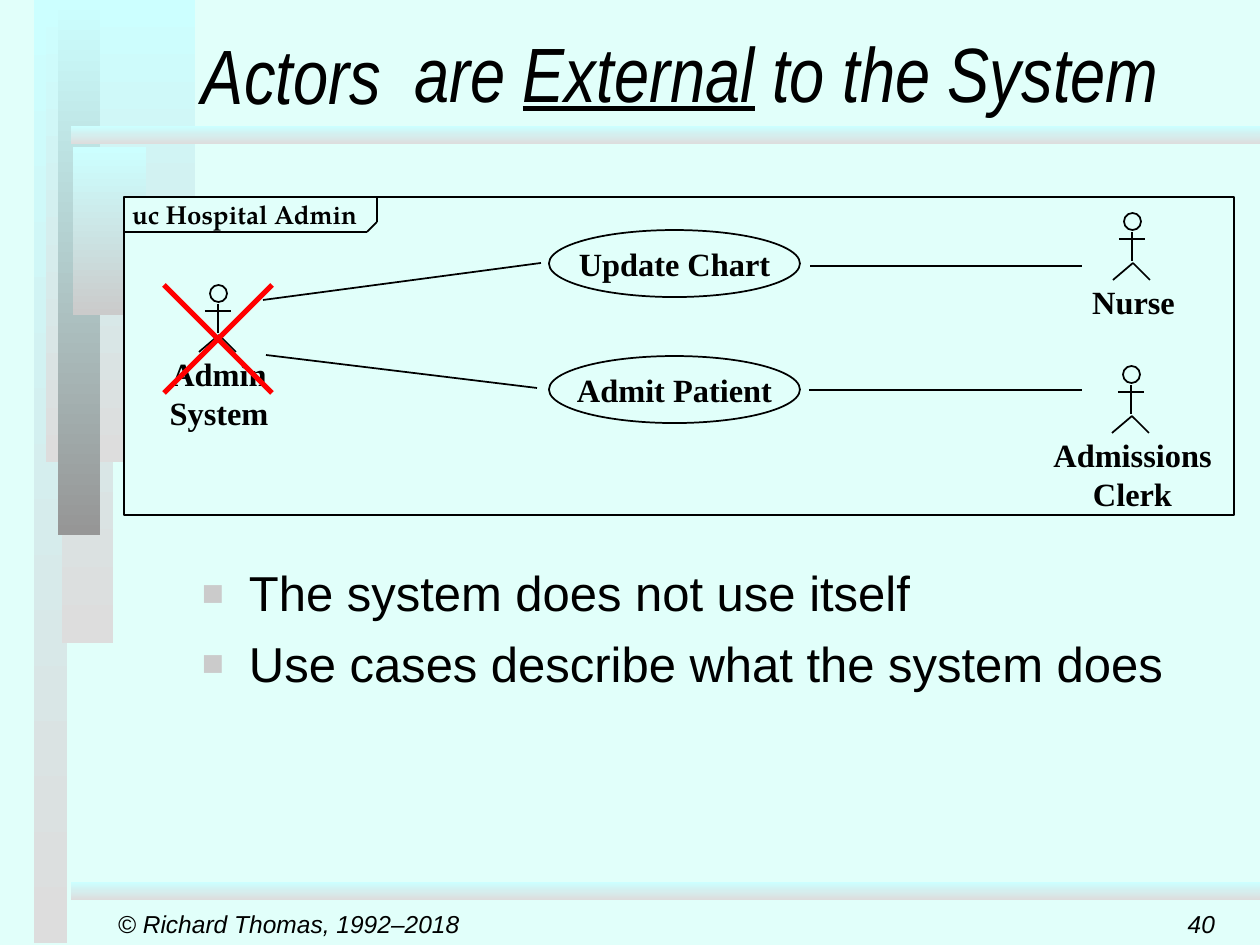
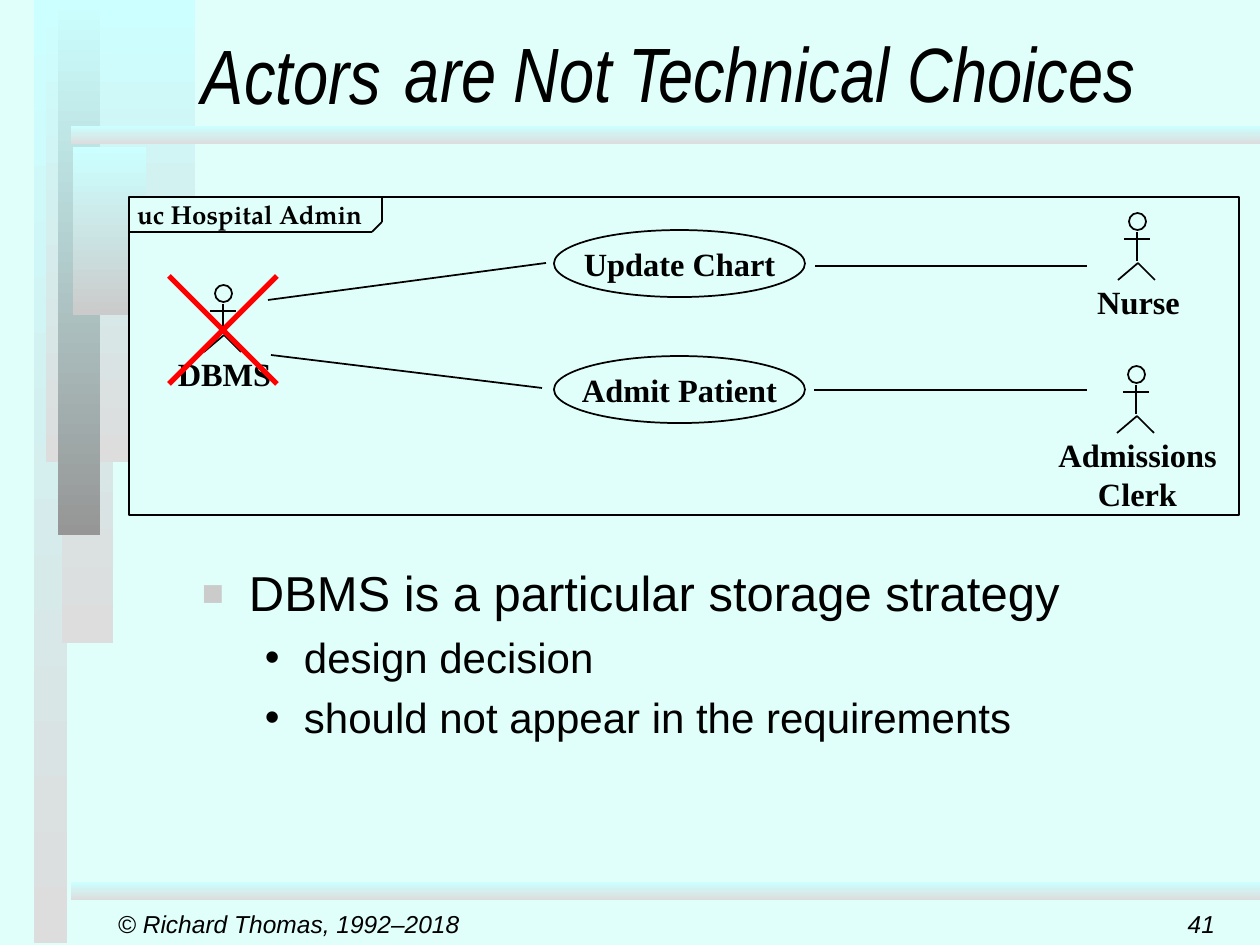
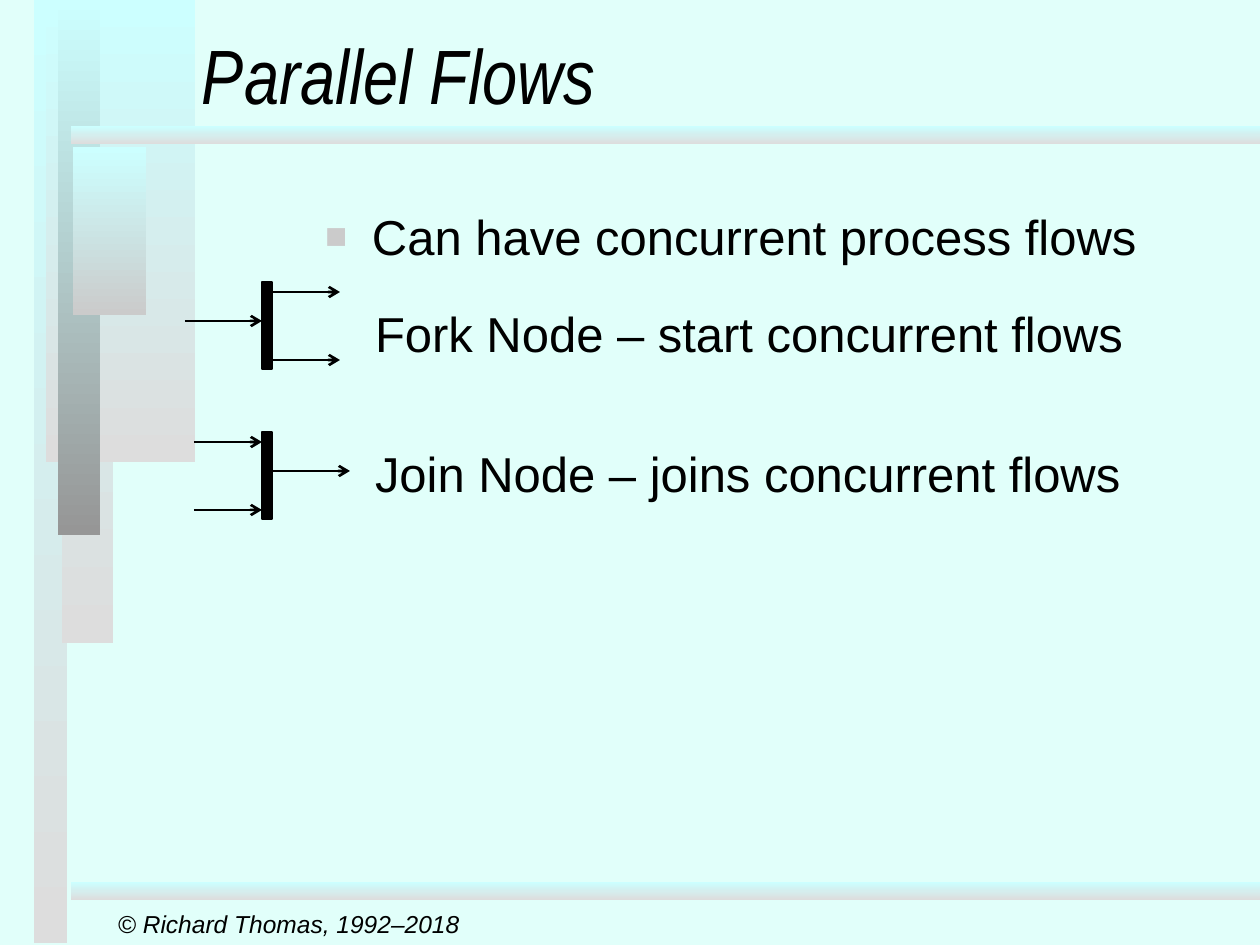
from itertools import pairwise

from lxml import etree
from pptx import Presentation
from pptx.dml.color import RGBColor
from pptx.enum.shapes import MSO_CONNECTOR, MSO_SHAPE
from pptx.enum.text import MSO_ANCHOR, MSO_AUTO_SIZE, PP_ALIGN
from pptx.oxml.ns import qn
from pptx.util import Pt

RECTANGLE, OVAL = MSO_SHAPE.RECTANGLE, MSO_SHAPE.OVAL
STRAIGHT = MSO_CONNECTOR.STRAIGHT
LEFT, CENTER, RIGHT = PP_ALIGN.LEFT, PP_ALIGN.CENTER, PP_ALIGN.RIGHT
MIDDLE, BOTTOM, TOP = MSO_ANCHOR.MIDDLE, MSO_ANCHOR.BOTTOM, MSO_ANCHOR.TOP
NO_AUTOFIT = MSO_AUTO_SIZE.NONE

EMU_PER_PX = 914400 / 126
COLORS = {
    "background": "E1FFFA",
    "ink": "000000",
    "cross": "FF0000",
    "bullet": "CBCBCB",
    "aqua": "CCFFFF",
    "pale": "DDDDDD",
    "silver": "CBCBCB",
    "steel": "969696",
}
# Each font: name, size, bold, italic
FONTS = {
    "title": ("Arial Narrow", 44, False, True),
    "item": ("Arial", 28, False, False),
    "subitem": ("Arial", 24, False, False),
    "footer": ("Arial", 14, False, True),
    "diagram": ("Times New Roman", 18.5, True, False),
    "frame": ("TeX Gyre Pagella", 14.8, True, False),
}
# Each list style: font, level, left margin, first-line indent, bullet, bullet colour, bullet percent
LIST_STYLES = {
    "item": ("item", 0, 47, -47, "■", "bullet", 75),
    "subitem": ("subitem", 1, 102, -39, "•", "ink", 100),
    "plain": ("item", 0, 50, 0, None, None, None),
}
# Each band: left, top, width, height, lower colour
BANDS = [
    (34, 0, 33, 943, "pale"),
    (62, 0, 51, 643, "pale"),
    (46, 0, 149, 462, "pale"),
    (58, 0, 42, 535, "steel"),
    (73, 147, 73, 168, "silver"),
    (71, 126, 1189, 18, "pale"),
    (71, 882, 1189, 18, "pale"),
]
INSETS = (13, 6)
DIAGRAM_INSETS = (11, 5)


def px(length):
    return round(length * EMU_PER_PX)


def rgb(name):
    return RGBColor.from_string(COLORS[name])


class Deck:
    def __init__(self):
        self.presentation = Presentation()
        self.presentation.slide_width = px(1260)
        self.presentation.slide_height = px(945)
        background = self.presentation.slide_master.background.fill
        background.solid()
        background.fore_color.rgb = rgb("background")
        self.layout = self.presentation.slide_layouts[1]
        self.slide = None

    def start_slide(self, title, page=None):
        first = self.slide is None
        self.slide = self.presentation.slides.add_slide(self.layout)
        if first:
            self.share_bands()
        shape = self.slide.shapes.title
        self.place(shape, 189, 0, 1071, 126)
        self.set_text(shape, [title], "title", LEFT, BOTTOM, wrap=True)
        self.text(105, 903, 262, 42, ["© Richard Thomas, 1992–2018"], "footer", anchor=MIDDLE)
        if page:
            self.text(966, 903, 262, 42, [str(page)], "footer", RIGHT, MIDDLE)

    def share_bands(self):
        """Draw the gradient bands and move them to the layout used by every slide."""
        for left, top, width, height, lower in BANDS:
            band = self.shape(RECTANGLE, left, top, width, height, line=None)
            band.fill.gradient()
            band.fill.gradient_angle = 270
            for stop, color in zip(band.fill.gradient_stops, ("aqua", lower)):
                stop.color.rgb = rgb(color)
            self.layout.shapes.element.append(band.element)

    def place(self, shape, left, top, width, height):
        shape.left, shape.top, shape.width, shape.height = map(px, (left, top, width, height))

    def set_font(self, paragraph, style):
        font = paragraph.font
        name, size, font.bold, font.italic = FONTS[style]
        font.name, font.size = name, Pt(size)
        font.color.rgb = rgb("ink")

    def frame_text(self, shape, anchor, wrap, insets):
        frame = shape.text_frame
        frame.auto_size, frame.word_wrap, frame.vertical_anchor = NO_AUTOFIT, wrap, anchor
        frame.margin_left = frame.margin_right = px(insets[0])
        frame.margin_top = frame.margin_bottom = px(insets[1])
        return frame

    def set_text(self, shape, lines, style, align=LEFT, anchor=TOP, wrap=False, insets=INSETS):
        frame = self.frame_text(shape, anchor, wrap, insets)
        frame.text = "\n".join(lines)
        for paragraph in frame.paragraphs:
            paragraph.alignment = align
            self.set_font(paragraph, style)

    def text(self, left, top, width, height, lines, style, align=LEFT, anchor=TOP,
             insets=INSETS, shapes=None):
        shapes = shapes or self.slide.shapes
        box = shapes.add_textbox(*map(px, (left, top, width, height)))
        self.set_text(box, lines, style, align, anchor, insets=insets)
        return box

    def shape(self, kind, left, top, width, height, fill=None, line=1, shapes=None):
        shapes = shapes or self.slide.shapes
        shape = shapes.add_shape(kind, *map(px, (left, top, width, height)))
        shape.shadow.inherit = False
        if fill:
            shape.fill.solid()
            shape.fill.fore_color.rgb = rgb(fill)
        else:
            shape.fill.background()
        if line:
            shape.line.color.rgb = rgb("ink")
            shape.line.width = Pt(line)
        else:
            shape.line.fill.background()
        return shape

    def line(self, start, end, color="ink", width=1, arrow=False, shapes=None):
        shapes = shapes or self.slide.shapes
        connector = shapes.add_connector(STRAIGHT, *map(px, (*start, *end)))
        connector.line.color.rgb = rgb(color)
        connector.line.width = Pt(width)
        properties = connector.element.spPr
        if arrow:
            etree.SubElement(properties.find(qn("a:ln")), qn("a:tailEnd"), type="arrow")
        etree.SubElement(properties, qn("a:effectLst"))

    def bullet(self, paragraph, margin, indent, character, color, percent):
        properties = paragraph._p.get_or_add_pPr()
        properties.set("marL", str(px(margin)))
        properties.set("indent", str(px(indent)))
        if not character:
            etree.SubElement(properties, qn("a:buNone"))
            return
        bullet_color = etree.SubElement(properties, qn("a:buClr"))
        etree.SubElement(bullet_color, qn("a:srgbClr"), val=COLORS[color])
        etree.SubElement(properties, qn("a:buSzPct"), val=str(percent * 1000))
        etree.SubElement(properties, qn("a:buChar"), char=character)

    def body(self, left, top, width, height, items):
        """Fill the body placeholder from (style, text, space before) items."""
        shape = self.slide.placeholders[1]
        self.place(shape, left, top, width, height)
        frame = self.frame_text(shape, TOP, True, (13, 12))
        frame.text = "\n".join(text for _, text, _ in items)
        for paragraph, (style, _, space) in zip(frame.paragraphs, items):
            font, level, *bullet = LIST_STYLES[style]
            paragraph.level = level
            self.bullet(paragraph, *bullet)
            paragraph.space_before = Pt(space)
            self.set_font(paragraph, font)

    def title_rest(self, left, width, runs):
        """Continue the title with (text, underlined) runs."""
        box = self.text(left, 20, width, 106, [""], "title")
        paragraph = box.text_frame.paragraphs[0]
        for text, underlined in runs:
            run = paragraph.add_run()
            run.text = text
            if underlined:
                run.font.underline = True

    def use_case(self, left, top, name):
        oval = self.shape(OVAL, left, top, 251, 67)
        self.set_text(oval, [name], "diagram", CENTER, MIDDLE, insets=DIAGRAM_INSETS)

    def actor(self, center, top, lines, label_width):
        shapes = self.slide.shapes.add_group_shape().shapes
        hip = (center + 1, top + 50)
        limbs = [
            ((center, top + 19), (center, top + 48)),
            ((center - 13, top + 26), (center + 13, top + 26)),
            (hip, (center - 19, top + 67)),
            (hip, (center + 18, top + 67)),
        ]
        for start, end in limbs:
            self.line(start, end, shapes=shapes)
        self.shape(OVAL, center - 8, top, 17, 17, shapes=shapes)
        self.text(center + 1 - label_width // 2, top + 64, label_width, 11 + 39 * len(lines),
                  lines, "diagram", CENTER, insets=DIAGRAM_INSETS, shapes=shapes)

    def cross(self, left, top, size=108):
        shapes = self.slide.shapes.add_group_shape().shapes
        right, bottom = left + size, top + size
        self.line((left, top), (right, bottom), "cross", 3, shapes=shapes)
        self.line((right, top), (left, bottom), "cross", 3, shapes=shapes)

    def hospital_diagram(self, left, wrong_actor, label_width, cross_top):
        self.shape(RECTANGLE, left, 197, 1110, 318, "background")
        tab_corners = [(0, 232), (243, 232), (253, 222), (253, 197)]
        associations = [
            ((413, 388), (142, 355)),
            ((139, 300), (417, 263)),
            ((685, 390), (958, 390)),
            ((958, 266), (686, 266)),
        ]
        for (x1, y1), (x2, y2) in [*pairwise(tab_corners), *associations]:
            self.line((left + x1, y1), (left + x2, y2))
        self.text(left - 5, 193, 260, 44, ["uc Hospital Admin"], "frame")
        self.use_case(left + 425, 230, "Update Chart")
        self.use_case(left + 425, 356, "Admit Patient")
        self.actor(left + 94, 285, wrong_actor, label_width)
        self.actor(left + 1007, 366, ["Admissions", "Clerk"], 183)
        self.actor(left + 1008, 213, ["Nurse"], 107)
        self.cross(left + 40, cross_top)

    def flow_node(self, top, outline, flows):
        """Draw a bar with arrows given as (start x, end x, distance below the top)."""
        shapes = self.slide.shapes.add_group_shape().shapes
        self.shape(RECTANGLE, 262, top, 10, 87, "ink", outline, shapes)
        for start, end, drop in flows:
            self.line((start, top + drop), (end, top + drop), width=1.5, arrow=True, shapes=shapes)


def main():
    deck = Deck()

    deck.start_slide("Actors", 40)
    deck.title_rest(401, 777, [("are ", False), ("External", True), (" to the System", False)])
    deck.hospital_diagram(124, ["Admin", "System"], 122, 285)
    deck.body(189, 551, 1034, 297, [
        ("item", "The system does not use itself", 0),
        ("item", "Use cases describe what the system does", 6.4),
    ])

    deck.start_slide("Actors", 41)
    deck.title_rest(392, 764, [("are Not Technical Choices", False)])
    deck.hospital_diagram(129, ["DBMS"], 117, 276)
    deck.body(189, 551, 1040, 297, [
        ("item", "DBMS is a particular storage strategy", 0),
        ("subitem", "design decision", 5.5),
        ("subitem", "should not appear in the requirements", 5.5),
    ])

    deck.start_slide("Parallel Flows")
    deck.body(312, 194, 853, 627, [
        ("item", "Can have concurrent process flows", 0),
        ("plain", "Fork Node – start concurrent flows", 22),
        ("plain", "Join Node – joins concurrent flows", 46.6),
    ])
    deck.flow_node(282, 1.5, [(185, 262, 39), (272, 340, 10), (272, 340, 78)])
    deck.flow_node(432, 0.75, [(194, 262, 10), (194, 262, 78), (272, 350, 39)])

    deck.presentation.save("out.pptx")


if __name__ == "__main__":
    main()
